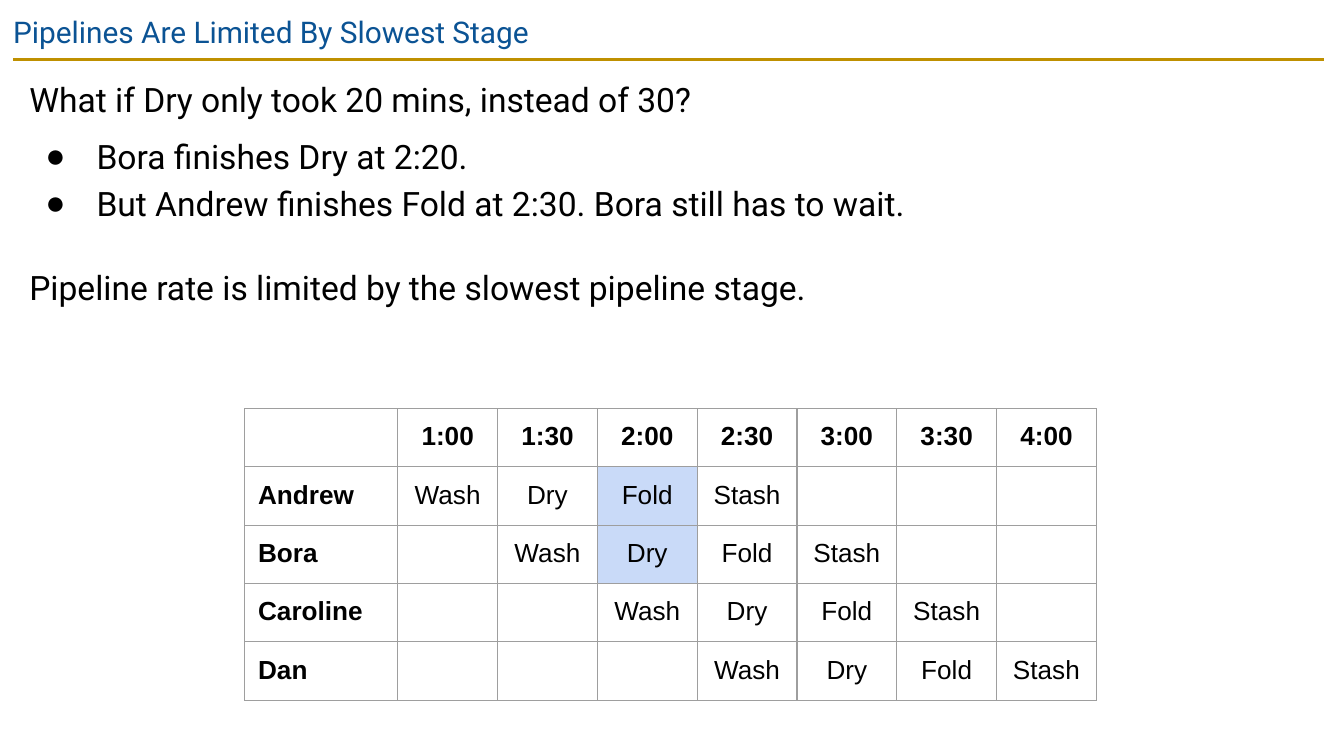
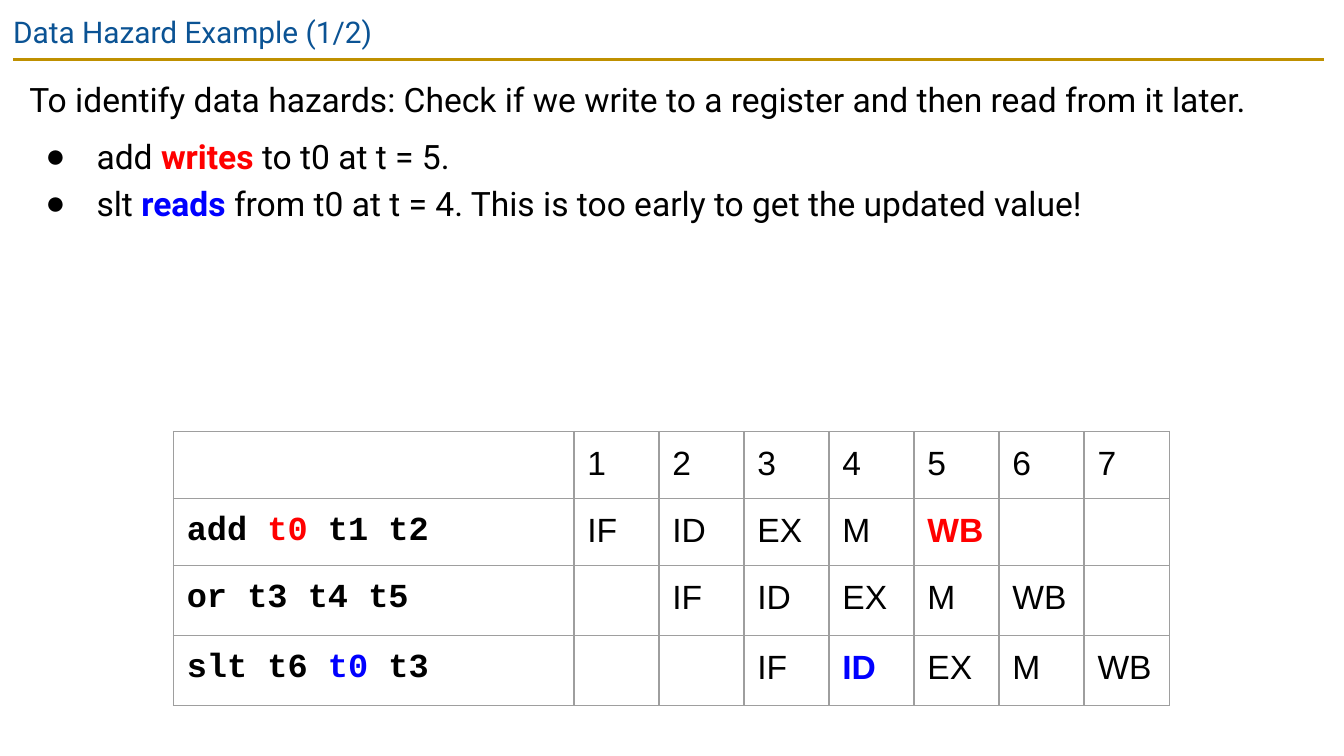
from dataclasses import dataclass

from lxml import etree
from pptx import Presentation
from pptx import util as u
from pptx.dml.color import RGBColor
from pptx.enum import shapes, text
from pptx.oxml import ns

BLACK = "000000"
RED = "FF0000"
BLUE = "0000FF"
TITLE_BLUE = "0B5394"
RULE_GOLD = "BF9000"
GRID_GREY = "9E9E9E"
HIGHLIGHT = "C9DAF8"
BODY_FONT = "Roboto"
TABLE_FONT = "Arial"
CODE_FONT = "Courier New"
MARGIN = u.Inches(0.1)


@dataclass(frozen=True)
class Span:
    words: str
    color: str = BLACK
    bold: bool = False


@dataclass(frozen=True)
class Line:
    spans: tuple[Span, ...]
    bullet: bool = False
    space_before: float = 6


@dataclass(frozen=True)
class Cell:
    spans: tuple[Span, ...] = ()
    font: str = TABLE_FONT
    fill: str | None = None


@dataclass(frozen=True)
class Grid:
    left: float
    top: float
    label_width: float
    steps_width: float
    row_heights: tuple[float, ...]
    size: int
    centered: bool
    rows: list[list[Cell]]


def rgb(color: str) -> RGBColor:
    return RGBColor.from_string(color)


def add_element(parent, tag: str, **attributes: str):
    return etree.SubElement(parent, ns.qn(tag), attributes)


def write_spans(paragraph, spans: tuple[Span, ...], font: str, size: int) -> None:
    for span in spans:
        run = paragraph.add_run()
        run.text = span.words
        run.font.name = font
        run.font.size = u.Pt(size)
        run.font.bold = span.bold
        run.font.color.rgb = rgb(span.color)


def add_bullet(paragraph) -> None:
    properties = paragraph._p.get_or_add_pPr()
    properties.set("marL", str(u.Inches(0.5)))
    properties.set("indent", str(u.Inches(-0.38)))
    color = add_element(properties, "a:buClr")
    add_element(color, "a:srgbClr", val=BLACK)
    add_element(properties, "a:buFont", typeface=TABLE_FONT)
    add_element(properties, "a:buChar", char="●")


def add_text_frame(slide, left: float, top: float, width: float, height: float):
    box = slide.shapes.add_textbox(
        u.Inches(left), u.Inches(top), u.Inches(width), u.Inches(height)
    )
    frame = box.text_frame
    frame.word_wrap = True
    frame.vertical_anchor = text.MSO_ANCHOR.TOP
    frame.margin_left = frame.margin_right = MARGIN
    frame.margin_top = frame.margin_bottom = MARGIN
    return frame


def add_titled_slide(presentation, title: str):
    slide = presentation.slides.add_slide(presentation.slide_layouts[6])
    rule = slide.shapes.add_connector(
        shapes.MSO_CONNECTOR.STRAIGHT,
        u.Inches(0.1), u.Inches(0.44), u.Inches(9.85), u.Inches(0.44),
    )
    rule.line.color.rgb = rgb(RULE_GOLD)
    rule.line.width = u.Pt(1.5)
    add_element(rule._element.spPr, "a:effectLst")
    frame = add_text_frame(slide, 0, 0, 10, 0.43)
    write_spans(frame.paragraphs[0], (Span(title, TITLE_BLUE),), BODY_FONT, 16)
    return slide


def add_body(slide, lines: list[Line]) -> None:
    frame = add_text_frame(slide, 0.12, 0.44, 9.74, 2.3)
    for index, line in enumerate(lines):
        paragraph = frame.add_paragraph() if index else frame.paragraphs[0]
        paragraph.line_spacing = 1.15
        paragraph.space_before = u.Pt(line.space_before)
        if line.bullet:
            add_bullet(paragraph)
        write_spans(paragraph, line.spans, BODY_FONT, 18)


def add_borders(cell) -> None:
    properties = cell._tc.get_or_add_tcPr()
    for position, side in enumerate(("a:lnL", "a:lnR", "a:lnT", "a:lnB")):
        border = etree.Element(ns.qn(side), {"w": str(u.Pt(0.75))})
        fill = add_element(border, "a:solidFill")
        add_element(fill, "a:srgbClr", val=GRID_GREY)
        properties.insert(position, border)


def fill_cell(cell, content: Cell, size: int, centered: bool) -> None:
    cell.margin_left = cell.margin_right = MARGIN
    cell.margin_top = cell.margin_bottom = MARGIN
    if content.fill:
        cell.fill.solid()
        cell.fill.fore_color.rgb = rgb(content.fill)
    else:
        cell.fill.background()
    add_borders(cell)
    paragraph = cell.text_frame.paragraphs[0]
    if centered:
        paragraph.alignment = text.PP_ALIGN.CENTER
    write_spans(paragraph, content.spans, content.font, size)
    if not content.spans:
        ending = add_element(paragraph._p, "a:endParaRPr", sz=str(size * 100))
        add_element(ending, "a:latin", typeface=content.font)


def add_grid(slide, grid: Grid) -> None:
    step_count = len(grid.rows[0]) - 1
    widths = [grid.label_width] + [grid.steps_width / step_count] * step_count
    table = slide.shapes.add_table(
        len(grid.rows), len(widths),
        u.Inches(grid.left), u.Inches(grid.top),
        u.Inches(sum(widths)), u.Inches(sum(grid.row_heights)),
    ).table
    table.first_row = False
    table.horz_banding = False
    for column, width in zip(table.columns, widths):
        column.width = u.Inches(width)
    for row, height in zip(table.rows, grid.row_heights):
        row.height = u.Inches(height)
    for row_index, row_cells in enumerate(grid.rows):
        for column_index, content in enumerate(row_cells):
            centered = grid.centered and column_index > 0
            fill_cell(table.cell(row_index, column_index), content, grid.size, centered)


def staggered_rows(
    header: list[Cell], labels: list[Cell], stages: list[str],
    special: dict[tuple[int, str], Cell],
) -> list[list[Cell]]:
    rows = [[Cell(), *header]]
    for start, label in enumerate(labels):
        steps = [special.get((start, stage), Cell((Span(stage),))) for stage in stages]
        after = len(header) - start - len(stages)
        rows.append([label, *[Cell()] * start, *steps, *[Cell()] * after])
    return rows


def build_laundry_slide(presentation) -> None:
    slide = add_titled_slide(presentation, "Pipelines Are Limited By Slowest Stage")
    add_body(slide, [
        Line((Span("What if Dry only took 20 mins, instead of 30?"),)),
        Line((Span("Bora finishes Dry at 2:20."),), bullet=True),
        Line(
            (Span("But Andrew finishes Fold at 2:30. Bora still has to wait."),),
            bullet=True, space_before=0,
        ),
        Line(
            (Span("Pipeline rate is limited by the slowest pipeline stage."),),
            space_before=20.5,
        ),
    ])
    times = ["1:00", "1:30", "2:00", "2:30", "3:00", "3:30", "4:00"]
    people = ["Andrew", "Bora", "Caroline", "Dan"]
    rows = staggered_rows(
        [Cell((Span(time, bold=True),)) for time in times],
        [Cell((Span(person, bold=True),)) for person in people],
        ["Wash", "Dry", "Fold", "Stash"],
        {
            (0, "Fold"): Cell((Span("Fold"),), fill=HIGHLIGHT),
            (1, "Dry"): Cell((Span("Dry"),), fill=HIGHLIGHT),
        },
    )
    add_grid(slide, Grid(1.82, 3.04, 1.14, 5.2, (0.42,) * 5, 14, True, rows))


def build_hazard_slide(presentation) -> None:
    slide = add_titled_slide(presentation, "Data Hazard Example (1/2)")
    add_body(slide, [
        Line((Span(
            "To identify data hazards: Check if we write to a register "
            "and then read from it later."
        ),)),
        Line(
            (Span("add "), Span("writes", RED, True), Span(" to t0 at t = 5.")),
            bullet=True,
        ),
        Line(
            (
                Span("slt "),
                Span("reads", BLUE, True),
                Span(" from t0 at t = 4. This is too early to get the updated value!"),
            ),
            bullet=True, space_before=0,
        ),
    ])
    instructions = [
        (Span("add ", bold=True), Span("t0", RED, True), Span(" t1 t2", bold=True)),
        (Span("or t3 t4 t5", bold=True),),
        (Span("slt t6 ", bold=True), Span("t0", BLUE, True), Span(" t3", bold=True)),
    ]
    rows = staggered_rows(
        [Cell((Span(str(cycle)),)) for cycle in range(1, 8)],
        [Cell(spans, CODE_FONT) for spans in instructions],
        ["IF", "ID", "EX", "M", "WB"],
        {
            (0, "WB"): Cell((Span("WB", RED, True),)),
            (2, "ID"): Cell((Span("ID", BLUE, True),)),
        },
    )
    add_grid(slide, Grid(1.29, 3.21, 2.98, 4.43, (0.5, 0.48, 0.52, 0.52), 18, False, rows))


def main() -> None:
    presentation = Presentation()
    presentation.slide_width = u.Inches(10)
    presentation.slide_height = u.Inches(10) * 9 // 16
    build_laundry_slide(presentation)
    build_hazard_slide(presentation)
    presentation.save("out.pptx")


if __name__ == "__main__":
    main()
